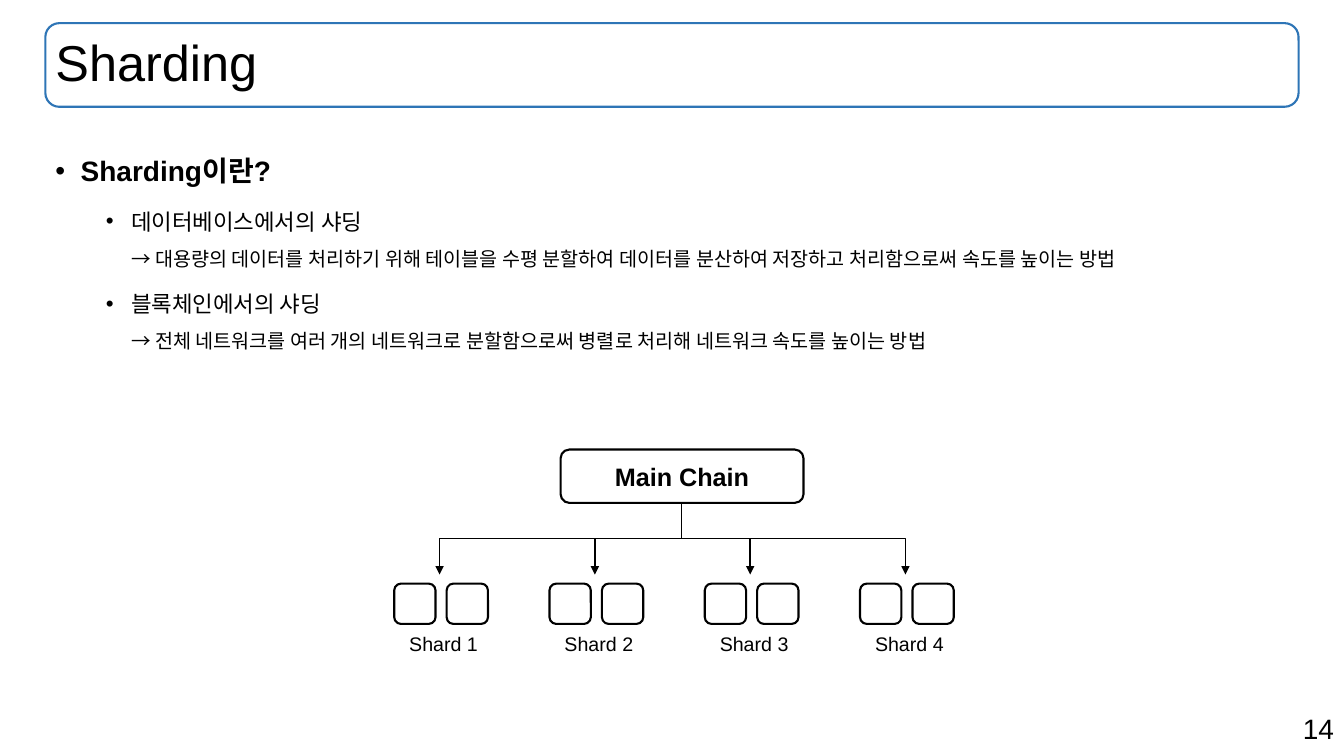
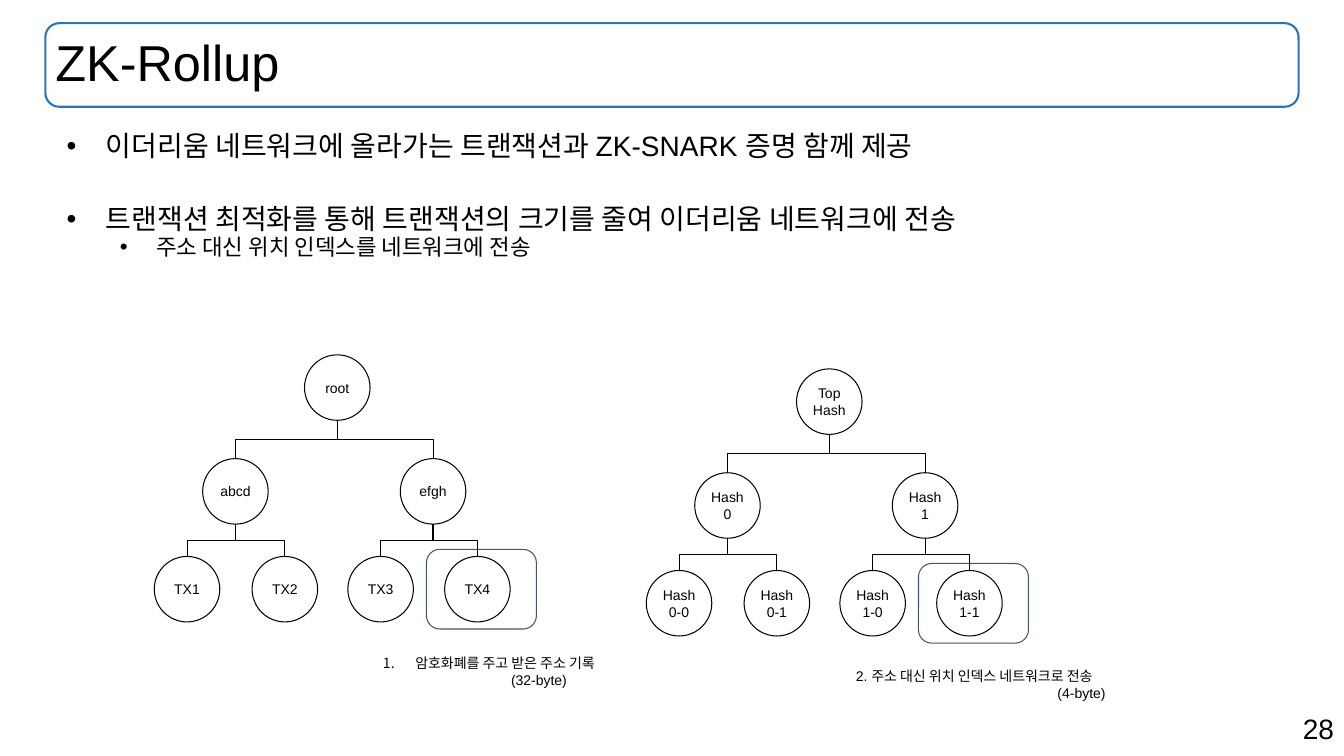
from lxml.etree import SubElement
from pptx import Presentation
from pptx.dml.color import RGBColor
from pptx.enum.shapes import MSO_CONNECTOR, MSO_SHAPE
from pptx.enum.text import MSO_ANCHOR, MSO_AUTO_SIZE, PP_ALIGN
from pptx.oxml.ns import qn
from pptx.util import Pt

PX = 9144
BLACK = RGBColor(0x00, 0x00, 0x00)
WHITE = RGBColor(0xFF, 0xFF, 0xFF)
BLUE = RGBColor(0x2E, 0x75, 0xB6)
NAVY = RGBColor(0x44, 0x54, 0x6A)
FACE = "Arial"
BAND = (45, 23, 1243, 83)
LEFT, MID, RIGHT = PP_ALIGN.LEFT, PP_ALIGN.CENTER, PP_ALIGN.RIGHT

NODES = [(149, 0), (48, 103), (244, 103), (0, 200), (97, 200), (192, 200), (288, 200)]
DISC = 65


def emu(*sizes):
    return [round(size * PX) for size in sizes]


def put(item, **form):
    for key, value in form.items():
        setattr(item, key, value)


def place(shape, box):
    put(shape, **dict(zip(("left", "top", "width", "height"), emu(*box))))


def frame(shape, inset=None, **form):
    text = shape.text_frame
    put(text, word_wrap=True, auto_size=MSO_AUTO_SIZE.NONE, **form)
    if inset is not None:
        sides = ("left", "top", "right", "bottom")
        put(text, **{f"margin_{side}": inset * PX for side in sides})
    return text


def write(para, text, size, bold=False, **form):
    put(para, **form)
    for num, line in enumerate(text.split("\n")):
        if num:
            para.add_line_break()
        run = para.add_run()
        run.text = line
        put(run.font, name=FACE, size=Pt(size), bold=bold)
        run.font.color.rgb = BLACK


def indent(para, left, first, tag=None, **mark):
    props = para._p.get_or_add_pPr()
    props.set("marL", str(left * PX))
    props.set("indent", str(first * PX))
    if tag:
        SubElement(props, qn(tag), mark)


def bullet(para, left, first):
    indent(para, left, first, "a:buChar", char="•")


def label(slide, box, text, size, align, inset=None):
    shape = slide.shapes.add_textbox(*emu(*box))
    write(frame(shape, inset).paragraphs[0], text, size, alignment=align)


def outline(slide, kind, box, color, width, fill=None):
    shape = slide.shapes.add_shape(kind, *emu(*box))
    shape.shadow.inherit = False
    if fill is None:
        shape.fill.background()
    else:
        shape.fill.solid()
        shape.fill.fore_color.rgb = fill
    shape.line.color.rgb = color
    shape.line.width = Pt(width)
    return shape


def elbow(slide, start, end, width, arrow=False):
    (ax, ay), (bx, by) = start, end
    cx, cy = (ax + bx) / 2, (ay + by) / 2
    dx, dy = abs(bx - ax) / 2, (by - ay) / 2
    ends = emu(cx - dy, cy - dx, cx + dy, cy + dx)
    link = slide.shapes.add_connector(MSO_CONNECTOR.ELBOW, *ends)
    link.line.color.rgb = BLACK
    link.line.width = Pt(width)
    props = link._element.spPr
    turn = props.find(qn("a:xfrm"))
    if bx < ax:
        turn.set("rot", "5400000")
    else:
        turn.set("rot", "16200000")
        turn.set("flipH", "1")
    if arrow:
        SubElement(props.find(qn("a:ln")), qn("a:tailEnd"), type="triangle")
    SubElement(props, qn("a:effectLst"))


def base(deck, title, page, box):
    slide = deck.slides.add_slide(deck.slide_layouts[1])
    head, body = slide.placeholders
    label(slide, (943, 701, 390, 44), page, 20, RIGHT)
    outline(slide, MSO_SHAPE.ROUNDED_RECTANGLE, BAND, BLUE, 1.5)
    place(head, BAND)
    text = frame(head, vertical_anchor=MSO_ANCHOR.MIDDLE)
    write(text.paragraphs[0], title, 36, alignment=LEFT, line_spacing=0.9)
    place(body, box)
    return slide, frame(body)


def points(text, rows, space):
    for num, (level, left, first, gap, parts) in enumerate(rows):
        para = text.add_paragraph() if num else text.paragraphs[0]
        bullet(para, left, first)
        put(para, level=level, line_spacing=space, space_before=Pt(gap))
        for step, (line, size, bold) in enumerate(parts):
            if step:
                para.add_line_break()
            write(para, line, size, bold)


def shards(slide, x, y):
    rect = MSO_SHAPE.ROUNDED_RECTANGLE
    main = outline(slide, rect, (x + 165, y, 241, 53), BLACK, 1.5)
    text = frame(main, vertical_anchor=MSO_ANCHOR.MIDDLE)
    write(text.paragraphs[0], "Main Chain", 18, True, alignment=MID)
    for num in range(4):
        left = x + 154 * num
        for step in (0, 52):
            outline(slide, rect, (left + step, y + 133, 41, 40), BLACK, 1.5)
        label(slide, (left + 5, y + 176, 88, 34), f"Shard {num + 1}", 14, MID)
        elbow(slide, (x + 285, y + 53), (left + 45, y + 124), 1, True)


def tree(slide, x, y, names):
    box = (x + 270, y + 193, 109, 79)
    outline(slide, MSO_SHAPE.ROUNDED_RECTANGLE, box, NAVY, 0.75)
    half = DISC / 2
    for num, ((dx, dy), name) in enumerate(zip(NODES, names)):
        box = (x + dx, y + dy, DISC, DISC)
        disc = outline(slide, MSO_SHAPE.OVAL, box, BLACK, 0.75, WHITE)
        text = frame(disc, 0, vertical_anchor=MSO_ANCHOR.MIDDLE)
        write(text.paragraphs[0], name, 10, alignment=MID)
        if num:
            px, py = NODES[(num - 1) // 2]
            start = (x + px + half, y + py + DISC)
            elbow(slide, start, (x + dx + half, y + dy), 0.75)


def notes(slide, box):
    shape = slide.shapes.add_textbox(*emu(*box))
    text = frame(shape, 10)
    return text.paragraphs[0], text.add_paragraph()


def sharding(deck):
    slide, text = base(deck, "Sharding", "14", (45, 131, 1243, 553))
    points(text, [
        (0, 25, -25, 0, [("Sharding이란?", 20, True)]),
        (1, 75, -25, 5, [
            ("데이터베이스에서의 샤딩", 16, False),
            ("→ 대용량의 데이터를 처리하기 위해 테이블을 수평 분할하여 데이터를 분산하여 저장하고 처리함으로써 속도를 높이는 방법", 14, False)]),
        (1, 75, -25, 5, [
            ("블록체인에서의 샤딩", 16, False),
            ("→ 전체 네트워크를 여러 개의 네트워크로 분할함으로써 병렬로 처리해 네트워크 속도를 높이는 방법", 14, False)]),
    ], 1.5)
    shards(slide, 391, 446)


def rollup(deck):
    slide, text = base(deck, "ZK-Rollup", "28", (45, 126, 1243, 553))
    points(text, [
        (0, 50, -39, 0, [("이더리움 네트워크에 올라가는 트랜잭션과 ZK-SNARK 증명 함께 제공", 20, False)]),
        (0, 50, -39, 31, [("트랜잭션 최적화를 통해 트랜잭션의 크기를 줄여 이더리움 네트워크에 전송", 20, False)]),
        (1, 100, -36, 0, [("주소 대신 위치 인덱스를 네트워크에 전송", 16, False)]),
    ], 0.9)
    tree(slide, 153, 352, ["root", "abcd", "efgh", "TX1", "TX2", "TX3", "TX4"])
    tails = ["0", "1", "0-0", "0-1", "1-0", "1-1"]
    tree(slide, 641, 366, ["Top\nHash"] + [f"Hash\n{tail}" for tail in tails])
    first, last = notes(slide, (352, 639, 315, 54))
    indent(first, 50, -32, "a:buAutoNum", type="arabicPeriod")
    write(first, "암호화폐를 주고 받은 주소 기록", 10)
    indent(last, 50, 0)
    write(last, "(32-byte)", 10, alignment=MID)
    first, last = notes(slide, (839, 652, 397, 54))
    write(first, "2. 주소 대신 위치 인덱스 네트워크로 전송", 10)
    indent(last, 200, 0)
    write(last, "(4-byte)", 10)


def main():
    deck = Presentation()
    put(deck, slide_width=1333 * PX, slide_height=750 * PX)
    sharding(deck)
    rollup(deck)
    deck.save("out.pptx")


if __name__ == "__main__":
    main()
